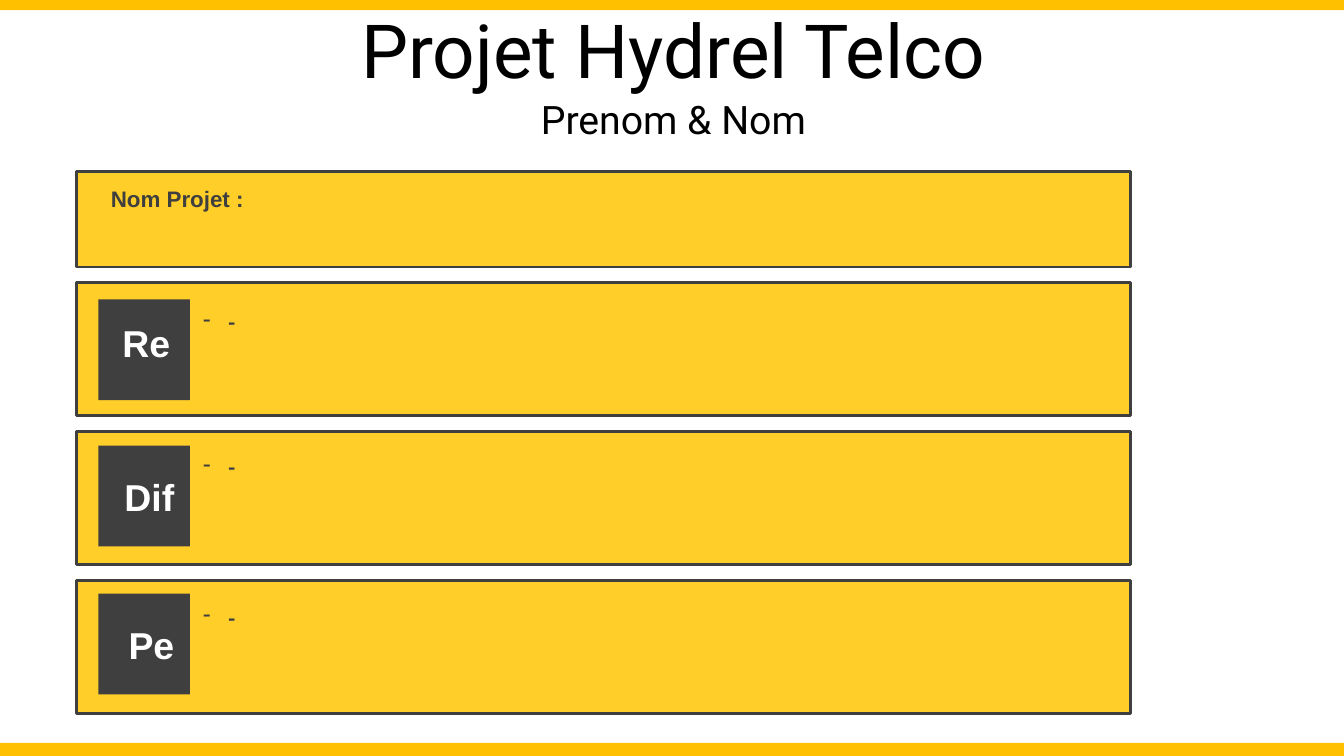
from dataclasses import dataclass

from lxml.etree import SubElement
from pptx import Presentation
from pptx.dml.color import RGBColor
from pptx.enum.shapes import MSO_SHAPE
from pptx.enum.text import MSO_ANCHOR, MSO_AUTO_SIZE, PP_ALIGN
from pptx.oxml.ns import qn
from pptx.shapes.autoshape import Shape
from pptx.slide import Slide
from pptx.text.text import TextFrame
from pptx.util import Inches, Length, Pt

BLACK = RGBColor(0x00, 0x00, 0x00)
WHITE = RGBColor(0xFF, 0xFF, 0xFF)
CHARCOAL = RGBColor(0x3F, 0x3F, 0x3F)
AMBER = RGBColor(0xFF, 0xC0, 0x00)
YELLOW = RGBColor(0xFF, 0xCE, 0x29)

# The grid has ten cells to the inch.
CELL = Inches(0.1)
COLUMNS, ROWS = 133.33, 75

PANEL_LEFT, PANEL_WIDTH = 7.6, 104.6
SECTION_TOP, SECTION_HEIGHT, SECTION_PITCH = 28, 13.2, 14.8


@dataclass(frozen=True)
class Area:
    """Place on the grid, in columns and rows."""
    left: float
    top: float
    width: float
    height: float

    def lengths(self) -> tuple[Length, ...]:
        cells = (self.left, self.top, self.width, self.height)
        return tuple(Length(round(count * CELL)) for count in cells)


@dataclass(frozen=True)
class TextStyle:
    font: str
    size: float
    color: RGBColor
    bold: bool = False
    align: PP_ALIGN = PP_ALIGN.LEFT
    anchor: MSO_ANCHOR = MSO_ANCHOR.TOP
    inset: float = 0.07
    line_spacing: float = 1.0


@dataclass(frozen=True)
class Section:
    """Panel with a badge; the offsets are rows below the panel's top."""
    abbreviation: str
    badge_offset: float
    label_offset: float
    label_right: float
    note_offset: float


TITLE = TextStyle("Roboto", 53.3, BLACK, align=PP_ALIGN.CENTER,
                  anchor=MSO_ANCHOR.MIDDLE, inset=0.13, line_spacing=0.9)
SUBTITLE = TextStyle("Roboto", 28, BLACK, align=PP_ALIGN.CENTER,
                     anchor=MSO_ANCHOR.MIDDLE, inset=0.13, line_spacing=0.9)
PROJECT_NAME = TextStyle("Arial", 16, CHARCOAL, bold=True)
ABBREVIATION = TextStyle("Arial", 26.7, WHITE, bold=True, align=PP_ALIGN.RIGHT)
NOTE = TextStyle("Calibri", 16, CHARCOAL, bold=True)

SECTIONS = (
    Section("Re", 1.7, 3.1, 18.2, 1.9),
    Section("Dif", 1.4, 3.5, 18.6, 1.5),
    Section("Pe", 1.3, 3.4, 18.6, 1.6),
)


def write(frame: TextFrame, text: str, style: TextStyle) -> None:
    frame.auto_size = MSO_AUTO_SIZE.NONE
    frame.word_wrap = True
    frame.vertical_anchor = style.anchor
    frame.margin_left = frame.margin_right = Inches(0.13)
    frame.margin_top = frame.margin_bottom = Inches(style.inset)
    paragraph = frame.paragraphs[0]
    paragraph.text = text
    paragraph.alignment = style.align
    paragraph.line_spacing = style.line_spacing
    paragraph.font.name = style.font
    paragraph.font.size = Pt(style.size)
    paragraph.font.bold = style.bold
    paragraph.font.color.rgb = style.color


def add_text(slide: Slide, area: Area, text: str, style: TextStyle) -> Shape:
    box = slide.shapes.add_textbox(*area.lengths())
    write(box.text_frame, text, style)
    return box


def add_block(slide: Slide, area: Area, fill: RGBColor,
              outline: RGBColor | None = None) -> None:
    block = slide.shapes.add_shape(MSO_SHAPE.RECTANGLE, *area.lengths())
    block.shadow.inherit = False
    block.fill.solid()
    block.fill.fore_color.rgb = fill
    if outline is None:
        block.line.fill.background()
    else:
        block.line.color.rgb = outline
        block.line.width = Pt(2)


def add_dash_bullet(box: Shape, color: RGBColor) -> None:
    properties = box.text_frame.paragraphs[0]._p.get_or_add_pPr()
    properties.set("marL", str(Inches(0.25)))
    properties.set("indent", str(-Inches(0.25)))
    bullet_color = SubElement(properties, qn("a:buClr"))
    SubElement(bullet_color, qn("a:srgbClr"), val=str(color))
    SubElement(properties, qn("a:buFontTx"))
    # The bullet must stand before the default run properties.
    SubElement(properties, qn("a:buChar"), char="-")
    defaults = properties.find(qn("a:defRPr"))
    if defaults is not None:
        properties.append(defaults)


def add_section(slide: Slide, section: Section, top: float) -> None:
    add_block(slide, Area(PANEL_LEFT, top, PANEL_WIDTH, SECTION_HEIGHT),
              YELLOW, CHARCOAL)
    add_block(slide, Area(9.75, top + section.badge_offset, 9.1, 10), CHARCOAL)
    add_text(slide, Area(section.label_right - 8.7, top + section.label_offset,
                         8.7, 5.8), section.abbreviation, ABBREVIATION)
    note = add_text(slide, Area(18.85, top + section.note_offset, 91.2, 9.9),
                    "-", NOTE)
    add_dash_bullet(note, CHARCOAL)


def main() -> None:
    presentation = Presentation()
    presentation.slide_width = round(COLUMNS * CELL)
    presentation.slide_height = ROWS * CELL
    slide = presentation.slides.add_slide(presentation.slide_layouts[5])

    add_block(slide, Area(0, 0, COLUMNS, 1), AMBER)
    add_block(slide, Area(0, ROWS - 1.3, COLUMNS, 1.3), AMBER)

    title = slide.shapes.title
    title.left, title.top, title.width, title.height = Area(
        0.3, 1.1, 133, 8.6).lengths()
    write(title.text_frame, "Projet Hydrel Telco", TITLE)
    add_text(slide, Area(0, 9.8, 133.6, 4.5), "Prenom & Nom", SUBTITLE)

    add_block(slide, Area(PANEL_LEFT, 17, PANEL_WIDTH, 9.5), YELLOW, CHARCOAL)
    add_text(slide, Area(9.7, 17.7, 100.4, 8), "Nom Projet :", PROJECT_NAME)

    for row, section in enumerate(SECTIONS):
        add_section(slide, section, SECTION_TOP + row * SECTION_PITCH)

    presentation.save("out.pptx")


if __name__ == "__main__":
    main()
